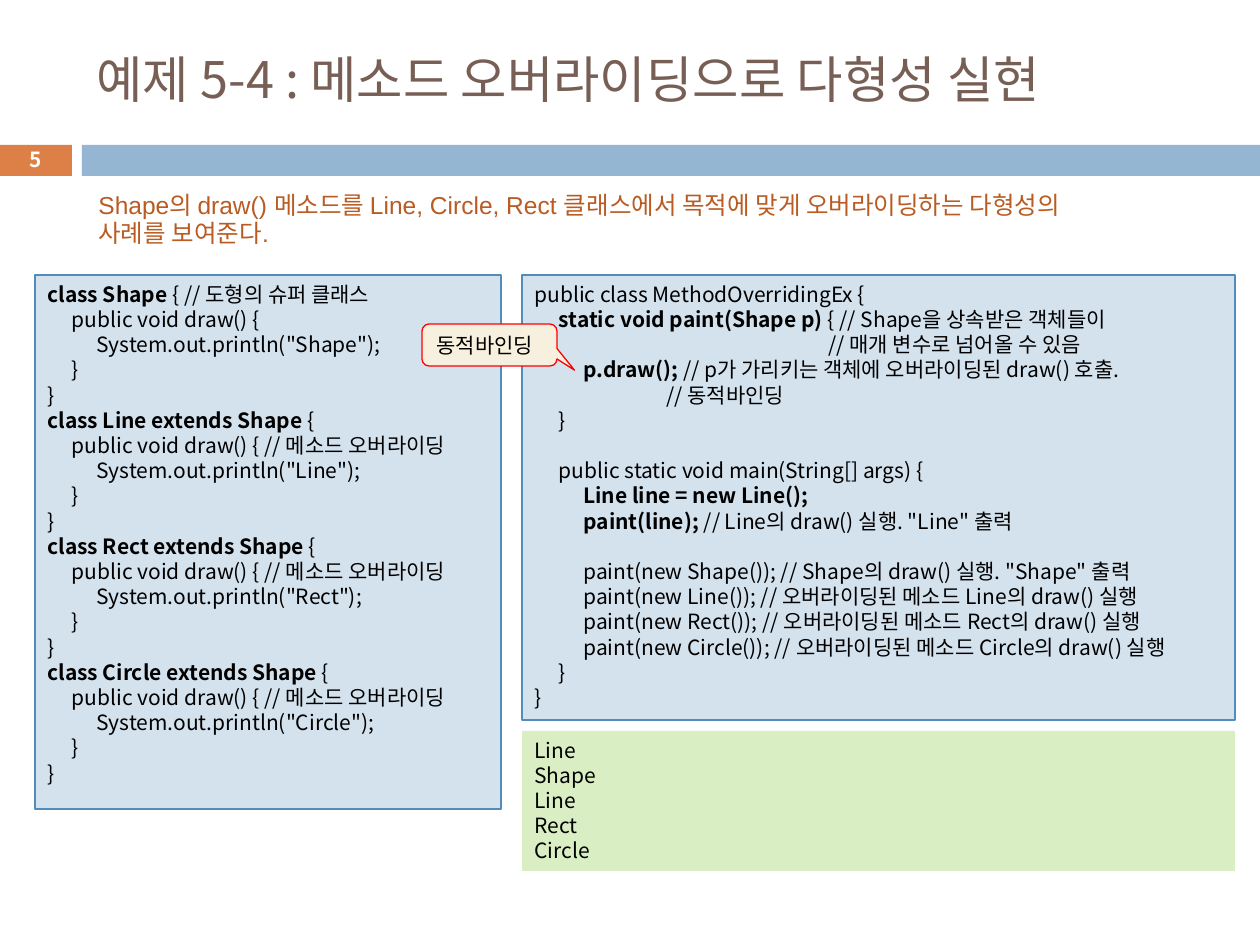
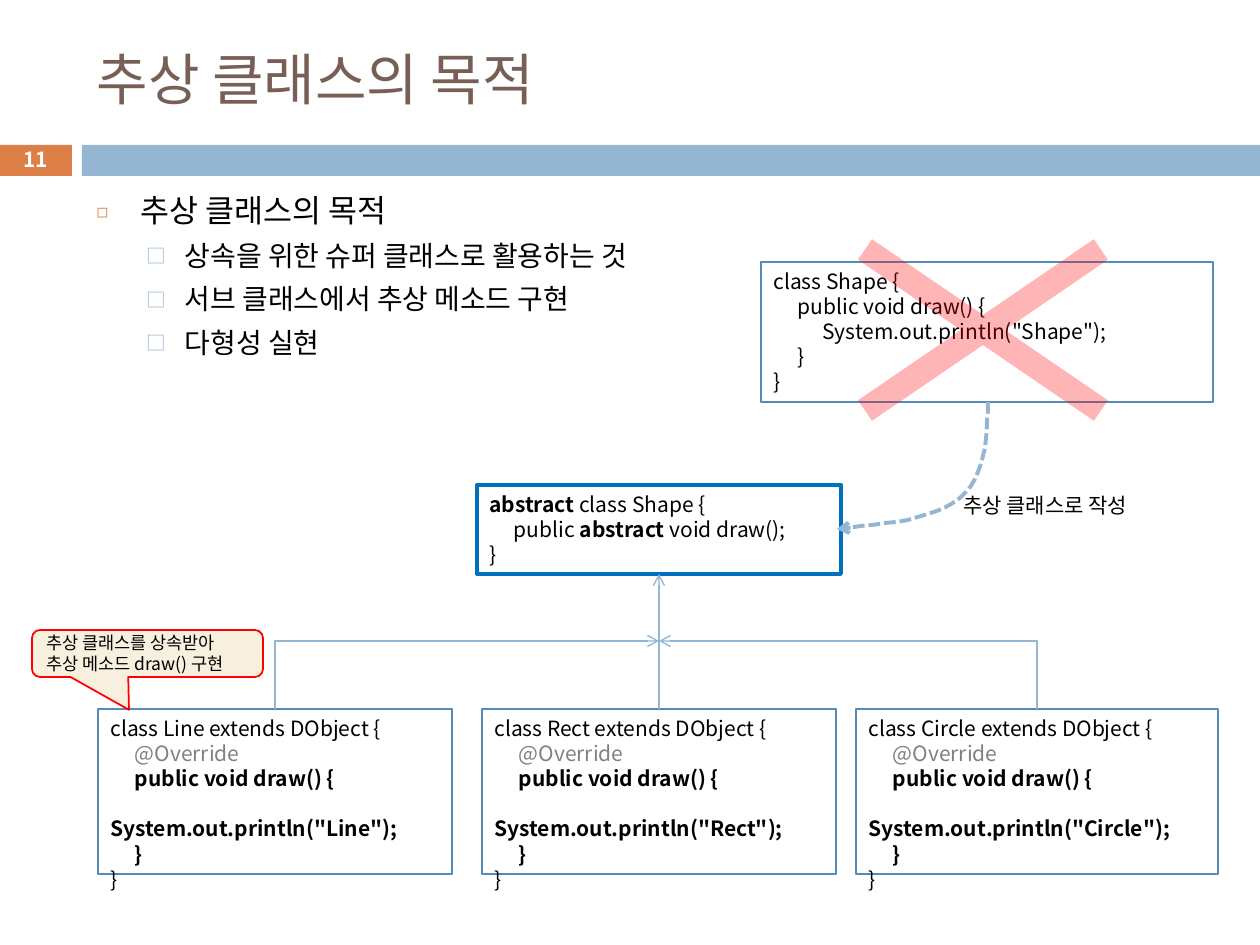
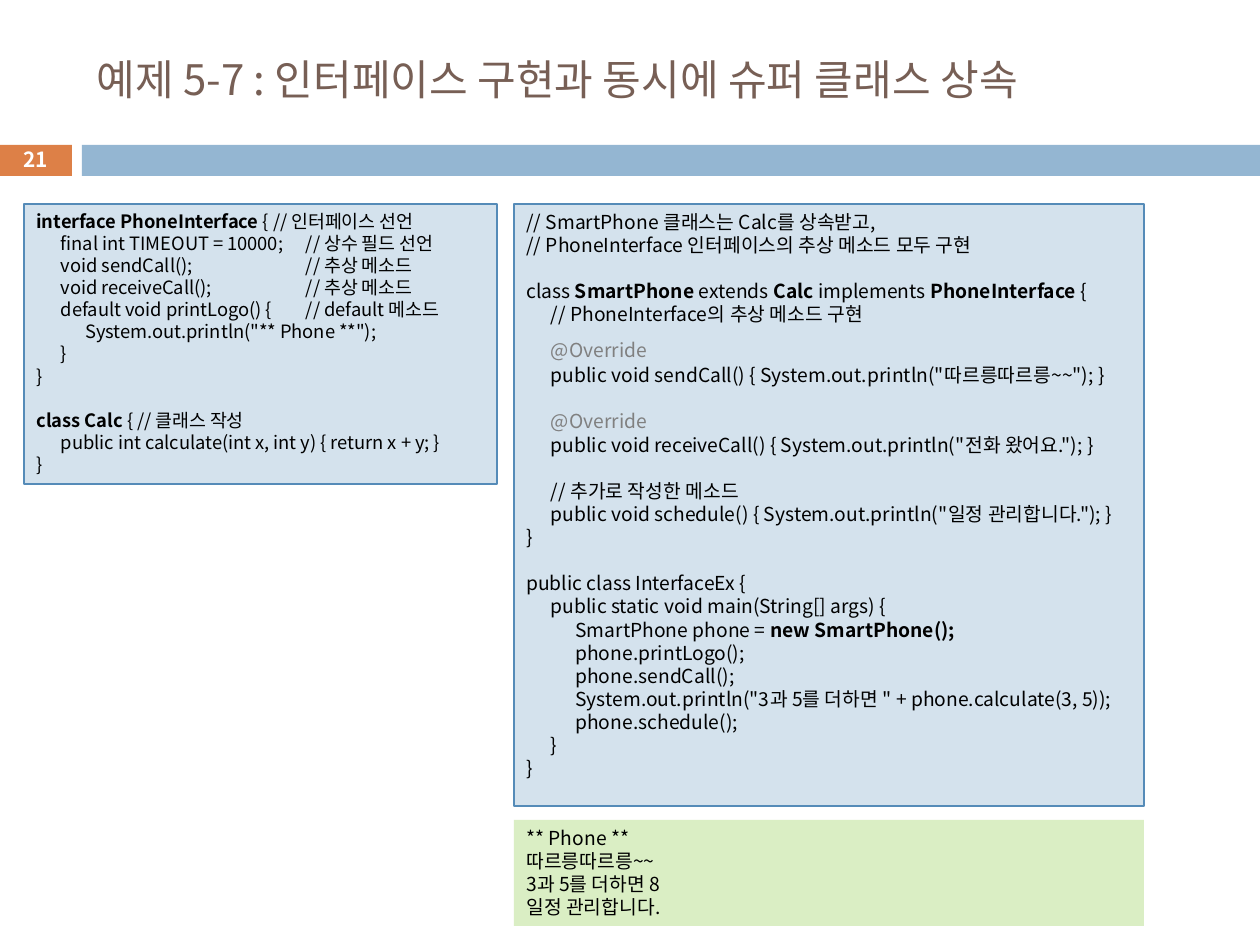
from lxml.etree import SubElement
from pptx import Presentation
from pptx.dml.color import RGBColor
from pptx.enum.dml import MSO_LINE
from pptx.enum.shapes import MSO_CONNECTOR as LINK, MSO_SHAPE as KIND
from pptx.enum.text import MSO_ANCHOR as ANCHOR, MSO_AUTO_SIZE, PP_ALIGN as ALIGN
from pptx.oxml.ns import qn
from pptx.util import Inches, Pt

PX = 914400 / 126
FONT = "Noto Sans CJK KR"
BLACK = RGBColor(0x00, 0x00, 0x00)
WHITE = RGBColor(0xFF, 0xFF, 0xFF)
GRAY = RGBColor(0x80, 0x80, 0x80)
BROWN = RGBColor(0x77, 0x5F, 0x55)
ORANGE = RGBColor(0xDD, 0x80, 0x47)
RUST = RGBColor(0xB9, 0x5B, 0x22)
BLUE = RGBColor(0x94, 0xB6, 0xD2)
PALE_BLUE = RGBColor(0xD4, 0xE2, 0xED)
EDGE_BLUE = RGBColor(0x55, 0x8B, 0xB8)
STRONG_BLUE = RGBColor(0x00, 0x70, 0xC0)
GREEN = RGBColor(0xDA, 0xEE, 0xC4)
CREAM = RGBColor(0xF7, 0xF0, 0xDE)
RED = RGBColor(0xFF, 0x00, 0x00)

BOLD_MARK = "¦"
TAB_POINTS, TAB_COUNT = 14, 20

SHAPE_CLASS = [
    "class Shape {",
    "\tpublic void draw() {",
    '\t\tSystem.out.println("Shape");',
    "\t}",
    "}",
]
SHAPE_HEAD = "¦class Shape ¦{ // 도형의 슈퍼 클래스"
SUBCLASSES = ["Line", "Rect", "Circle"]

OVERRIDING_INTRO = ["Shape의 draw() 메소드를 Line, Circle, Rect 클래스에서 목적에 맞게 "
                    "오버라이딩하는 다형성의 사례를 보여준다."]
OVERRIDING_MAIN = [
    "public class MethodOverridingEx {",
    "\t¦static void paint(Shape p) ¦{ // Shape을 상속받은 객체들이",
    "\t" * 12 + "// 매개 변수로 넘어올 수 있음",
    "\t\t¦p.draw(); ¦// p가 가리키는 객체에 오버라이딩된 draw() 호출.",
    "\t\t\t\t\t  // 동적바인딩",
    "\t}",
    "",
    "\tpublic static void main(String[] args) {",
    "\t\t¦Line line = new Line();",
    "\t\t¦paint(line); ¦// Line의 draw() 실행. \"Line\" 출력",
    "",
    "\t\tpaint(new Shape()); // Shape의 draw() 실행. \"Shape\" 출력",
    *[f"\t\tpaint(new {name}()); // 오버라이딩된 메소드 {name}의 draw() 실행"
      for name in SUBCLASSES],
    "\t}",
    "}",
]
OVERRIDING_OUTPUT = ["Line", "Shape", "Line", "Rect", "Circle"]

PURPOSES = [
    (0, "추상 클래스의 목적"),
    (1, "상속을 위한 슈퍼 클래스로 활용하는 것"),
    (1, "서브 클래스에서 추상 메소드 구현"),
    (1, "다형성 실현"),
]
BULLETS = [
    dict(size=18, before=7, left=0.35, hang=0.35, mark="◻", color=ORANGE, percent=60),
    dict(size=16, before=5.5, left=0.7, hang=0.3, mark="□", color=BLUE, percent=70),
]
ABSTRACT_CLASS = [
    "¦abstract¦ class Shape {",
    "\tpublic ¦abstract¦ void draw();",
    "}",
]
SUBCLASS_AREAS = [(98, 709, 354, 165), (482, 709, 354, 165), (856, 709, 362, 165)]

PHONE_INTERFACE = [
    "¦interface PhoneInterface ¦{ // 인터페이스 선언",
    "\tfinal int TIMEOUT = 10000; \t// 상수 필드 선언",
    "\tvoid sendCall(); \t\t\t\t\t// 추상 메소드",
    "\tvoid receiveCall(); \t\t\t\t// 추상 메소드",
    "\tdefault void printLogo() { \t\t// default 메소드",
    '\t\tSystem.out.println("** Phone **");',
    "\t}",
    "}",
    "",
    "¦class Calc ¦{ // 클래스 작성",
    "\tpublic int calculate(int x, int y) { return x + y; }",
    "}",
]
SMART_PHONE = [
    "// SmartPhone 클래스는 Calc를 상속받고,",
    "// PhoneInterface 인터페이스의 추상 메소드 모두 구현",
    "",
    "class ¦SmartPhone¦ extends ¦Calc¦ implements ¦PhoneInterface¦ {",
    "\t// PhoneInterface의 추상 메소드 구현",
    "\t@Override",
    '\tpublic void sendCall() { System.out.println("따르릉따르릉~~"); }',
    "",
    "\t@Override",
    '\tpublic void receiveCall() { System.out.println("전화 왔어요."); }',
    "",
    "\t// 추가로 작성한 메소드",
    '\tpublic void schedule() { System.out.println("일정 관리합니다."); }',
    "}",
    "",
    "public class InterfaceEx {",
    "\tpublic static void main(String[] args) {",
    "\t\tSmartPhone phone = ¦new SmartPhone();",
    "\t\tphone.printLogo();",
    "\t\tphone.sendCall();",
    '\t\tSystem.out.println("3과 5를 더하면 " + phone.calculate(3, 5));',
    "\t\tphone.schedule();",
    "\t}",
    "}",
]
PHONE_OUTPUT = ["** Phone **", "따르릉따르릉~~", "3과 5를 더하면 8", "일정 관리합니다."]


def emu(pixels):
    return round(pixels * PX)


def place(shape, area):
    shape.left, shape.top, shape.width, shape.height = map(emu, area)


def add_run(paragraph, text, size, color=BLACK, bold=False, font=FONT):
    run = paragraph.add_run()
    run.text = text
    run.font.size, run.font.bold, run.font.name = Pt(size), bold, font
    run.font.color.rgb = color
    SubElement(run.font._element, qn("a:ea"), typeface=FONT)


def add_tab_stops(paragraph):
    stops = SubElement(paragraph._p.get_or_add_pPr(), qn("a:tabLst"))
    for number in range(1, TAB_COUNT + 1):
        SubElement(stops, qn("a:tab"), pos=str(Pt(TAB_POINTS * number)), algn="l")


def write(shape, lines, size=12, color=BLACK, bold=False, font=FONT, spacing=1.2,
          align=ALIGN.LEFT, anchor=ANCHOR.TOP, wrap=True, tall_line=None):
    frame = shape.text_frame
    frame.word_wrap, frame.vertical_anchor = wrap, anchor
    frame.auto_size = MSO_AUTO_SIZE.NONE
    paragraph, gap = frame.paragraphs[0], 0
    for index, line in enumerate(lines):
        if not line:
            gap += size * spacing
            continue
        if index:
            paragraph = frame.add_paragraph()
        paragraph.alignment = align
        paragraph.line_spacing = Pt(size * spacing)
        paragraph.space_before, gap = Pt(gap), 0
        if "\t" in line:
            add_tab_stops(paragraph)
        if index == tall_line:
            paragraph.line_spacing = Pt(18 * spacing)
            add_run(paragraph, "\t", 18)
            line = line.removeprefix("\t")
        line_color = GRAY if line.strip() == "@Override" else color
        for part, text in enumerate(line.split(BOLD_MARK)):
            if text:
                add_run(paragraph, text, size, line_color, bold or part % 2 == 1, font)


def add_shape(slide, area, kind=KIND.RECTANGLE, fill=None, edge=None, width=0.75, adjust=()):
    shape = slide.shapes.add_shape(kind, *map(emu, area))
    shape.shadow.inherit = False
    for index, value in enumerate(adjust):
        shape.adjustments[index] = value
    if fill is None:
        shape.fill.background()
    else:
        shape.fill.solid()
        shape.fill.fore_color.rgb = fill
    if edge is None:
        shape.line.fill.background()
    else:
        shape.line.color.rgb, shape.line.width = edge, Pt(width)
    return shape


def add_box(slide, area, lines, fill=None, edge=EDGE_BLUE, width=0.75, **text_format):
    shape = add_shape(slide, area, fill=fill, edge=edge, width=width)
    write(shape, lines, **text_format)
    return shape


def add_label(slide, area, lines, **text_format):
    write(slide.shapes.add_textbox(*map(emu, area)), lines, **text_format)


def add_callout(slide, area, lines, adjust, width=0.75, **text_format):
    shape = add_shape(slide, area, KIND.ROUNDED_RECTANGULAR_CALLOUT, CREAM, RED, width, adjust)
    write(shape, lines, **text_format)


def style_arrow(shape, width):
    shape.line.color.rgb, shape.line.width = BLUE, Pt(width)
    SubElement(shape.line._get_or_add_ln(), qn("a:tailEnd"), type="arrow")


def add_link(slide, kind, begin_box, end):
    link = slide.shapes.add_connector(kind, 0, 0, *map(emu, end))
    link.begin_connect(begin_box, 0)
    style_arrow(link, 0.79)
    SubElement(link._element.spPr, qn("a:effectLst"))
    return link


def add_corner_link(slide, box, joint):
    link = add_link(slide, LINK.ELBOW, box, joint)
    start_x, start_y = box.left + box.width // 2, box.top
    end_x, end_y = map(emu, joint)
    from_left = start_x < end_x
    rise, run = start_y - end_y, abs(end_x - start_x)
    link.left, link.top = (start_x + end_x - rise) // 2, (start_y + end_y - run) // 2
    link.width, link.height = rise, run
    link._element.spPr.find(qn("a:prstGeom")).set("prst", "bentConnector2")
    transform = link._element.spPr.find(qn("a:xfrm"))
    transform.set("rot", str((90 if from_left else 270) * 60000))
    transform.set("flipH", str(int(from_left)))
    transform.set("flipV", "1")


def curve_points(a, b, c, d, steps=12):
    for step in range(1, steps + 1):
        t = step / steps
        u = 1 - t
        yield tuple(round(u**3 * p + 3 * u * u * t * q + 3 * u * t * t * r + t**3 * s)
                    for p, q, r, s in zip(a, b, c, d))


def add_dashed_curve(slide, start, segments):
    points, current = [], start
    for segment in segments:
        points += curve_points(current, *segment)
        current = segment[-1]
    builder = slide.shapes.build_freeform(*start, scale=PX)
    builder.add_line_segments(points, close=False)
    curve = builder.convert_to_shape()
    curve.shadow.inherit = False
    curve.fill.background()
    style_arrow(curve, 2.25)
    curve.line.dash_style = MSO_LINE.SQUARE_DOT


def start_slide(presentation, layout, title, size, number):
    slide = presentation.slides.add_slide(presentation.slide_layouts[layout])
    add_shape(slide, (0, 145, 72, 31), fill=ORANGE)
    add_shape(slide, (82, 145, 1178, 31), fill=BLUE)
    place(slide.shapes.title, (84, 32, 1124, 93))
    write(slide.shapes.title, [title], size=size, color=BROWN, anchor=ANCHOR.MIDDLE)
    add_label(slide, (0, 142, 72, 34), [str(number)], size=11.9, color=WHITE, bold=True,
              align=ALIGN.CENTER, anchor=ANCHOR.MIDDLE)
    return slide


def write_bullets(shape, items):
    frame = shape.text_frame
    frame.auto_size = MSO_AUTO_SIZE.NONE
    for index, (level, text) in enumerate(items):
        paragraph = frame.add_paragraph() if index else frame.paragraphs[0]
        style = BULLETS[level]
        paragraph.level = level
        paragraph.space_before = Pt(style["before"])
        paragraph.line_spacing = Pt(style["size"] * 1.2)
        properties = paragraph._p.get_or_add_pPr()
        properties.set("marL", str(Inches(style["left"])))
        properties.set("indent", str(-Inches(style["hang"])))
        color = SubElement(properties, qn("a:buClr"))
        SubElement(color, qn("a:srgbClr"), val=str(style["color"]))
        SubElement(properties, qn("a:buSzPct"), val=str(style["percent"] * 1000))
        SubElement(properties, qn("a:buFont"), typeface=FONT)
        SubElement(properties, qn("a:buChar"), char=style["mark"])
        add_run(paragraph, text, style["size"])


def build_overriding(presentation):
    slide = start_slide(presentation, 5, "예제 5-4 : 메소드 오버라이딩으로 다형성 실현", 28.8, 5)
    classes = [SHAPE_HEAD, *SHAPE_CLASS[1:]]
    for name in SUBCLASSES:
        classes += [
            f"¦class {name} extends Shape ¦{{",
            "\tpublic void draw() { // 메소드 오버라이딩",
            f'\t\tSystem.out.println("{name}");',
            "\t}",
            "}",
        ]
    add_box(slide, (35, 275, 466, 534), classes, PALE_BLUE)
    add_box(slide, (522, 275, 713, 445), OVERRIDING_MAIN, PALE_BLUE)
    add_box(slide, (522, 731, 713, 140), OVERRIDING_OUTPUT, GREEN, edge=None)
    add_label(slide, (86, 185, 1041, 72), OVERRIDING_INTRO, size=14, color=RUST,
              font="Arial", spacing=1.15)
    add_callout(slide, (422, 324, 135, 42), ["동적바인딩"], (0.63, 0.6, 0.17), wrap=False)


def build_abstract(presentation):
    slide = start_slide(presentation, 1, "추상 클래스의 목적", 32, 11)
    body = slide.placeholders[1]
    place(body, (84, 185, 625, 694))
    write_bullets(body, PURPOSES)

    boxes = [
        add_box(slide, area, [
            f"class {name} extends DObject {{",
            "\t@Override",
            "\t¦public void draw() {",
            f'\t\t ¦System.out.println("{name}");',
            "\t¦}",
            "}",
        ])
        for name, area in zip(SUBCLASSES, SUBCLASS_AREAS)
    ]
    abstract = add_box(slide, (477, 485, 364, 89), ABSTRACT_CLASS, edge=STRONG_BLUE, width=2.25)
    joint = (659, 641)
    line_box, rect_box, circle_box = boxes
    add_corner_link(slide, line_box, joint)
    add_link(slide, LINK.STRAIGHT, rect_box, joint).end_connect(abstract, 2)
    add_corner_link(slide, circle_box, joint)

    add_box(slide, (761, 262, 452, 140), SHAPE_CLASS)
    cross = add_shape(slide, (756, 175, 454, 310), KIND.MATH_MULTIPLY, RED, adjust=(0.08,))
    fill_color = cross._element.spPr.find(qn("a:solidFill"))[0]
    SubElement(fill_color, qn("a:alpha"), val="29000")
    add_dashed_curve(slide, (988, 402), [
        ((987, 440), (985, 476), (960, 498)),
        ((935, 519), (886, 524), (837, 529)),
    ])
    add_label(slide, (951, 486, 210, 38), ["추상 클래스로 작성"], wrap=False)
    add_callout(slide, (32, 630, 231, 47), ["추상 클래스를 상속받아", "추상 메소드 draw() 구현"],
                (-0.08, 1.2, 0.17), width=1, size=10, anchor=ANCHOR.MIDDLE)


def build_interface(presentation):
    slide = start_slide(presentation, 5, "예제 5-7 : 인터페이스 구현과 동시에 슈퍼 클래스 상속", 24, 21)
    add_box(slide, (24, 204, 473, 280), PHONE_INTERFACE, PALE_BLUE, size=10.5)
    add_box(slide, (514, 204, 630, 602), SMART_PHONE, PALE_BLUE, size=11, tall_line=5)
    add_box(slide, (514, 820, 630, 106), PHONE_OUTPUT, GREEN, edge=None, size=11)


def main():
    presentation = Presentation()
    presentation.slide_width, presentation.slide_height = Inches(10), Inches(7.5)
    build_overriding(presentation)
    build_abstract(presentation)
    build_interface(presentation)
    presentation.save("out.pptx")


if __name__ == "__main__":
    main()
